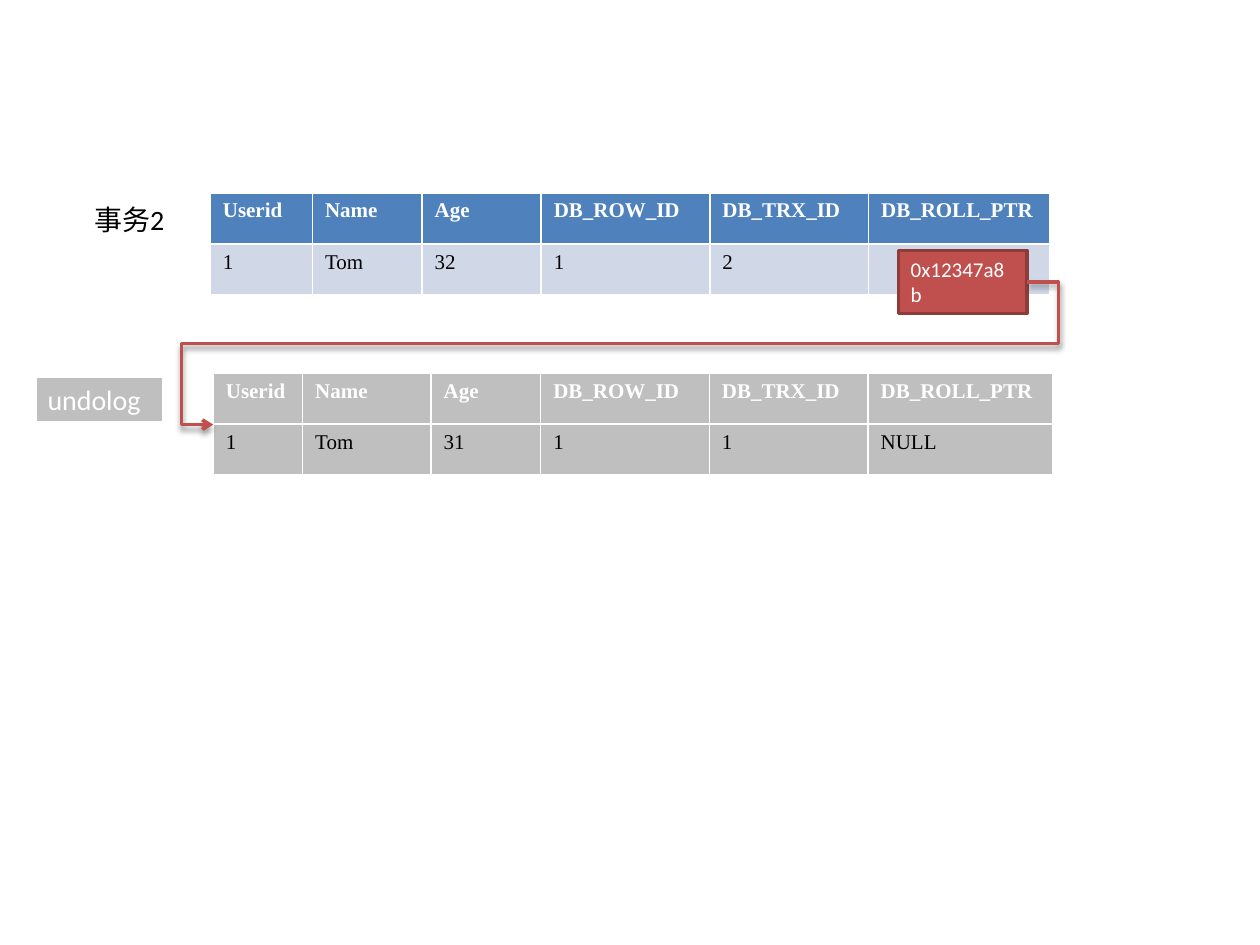
import pptx
import pptx.dml.color
import pptx.enum.dml
import pptx.enum.shapes
import pptx.enum.text
import pptx.oxml
import pptx.oxml.ns
import pptx.util

Cm = pptx.util.Cm
Pt = pptx.util.Pt
RGB = pptx.dml.color.RGBColor.from_string


class Theme:
    white, black = RGB("FFFFFF"), RGB("000000")
    blue, pale, gray = RGB("4F81BD"), RGB("D0D8E8"), RGB("BFBFBF")
    red, dark_red = RGB("C0504D"), RGB("8E3B39")
    body, table = "Calibri", "Times New Roman"
    small, label = Pt(12), Pt(16)
    line = Pt(2)


def set_text(tf, text, font, size, color, bold=False):
    p = tf.paragraphs[0]
    p.text = text
    p.font.name, p.font.size = font, size
    p.font.color.rgb, p.font.bold = color, bold
    return p


def add_label(text, left, top, width, height, size, color, fill=None, line=None):
    if fill is None:
        sp = s.shapes.add_textbox(left, top, width, height)
    else:
        sp = s.shapes.add_shape(pptx.enum.shapes.MSO_SHAPE.RECTANGLE, left, top, width, height)
        sp.shadow.inherit = False
        sp.fill.solid()
        sp.fill.fore_color.rgb = fill
        sp.line.color.rgb, sp.line.width = line, Theme.line
    tf = sp.text_frame
    tf.word_wrap = True
    tf.auto_size = pptx.enum.text.MSO_AUTO_SIZE.SHAPE_TO_FIT_TEXT
    tf.vertical_anchor = pptx.enum.text.MSO_ANCHOR.TOP
    p = set_text(tf, text, Theme.body, size, color)
    p.alignment = pptx.enum.text.PP_ALIGN.LEFT
    return sp


prs = pptx.Presentation()
prs.slide_width, prs.slide_height = Cm(25.4), Cm(19.05)
s = prs.slides.add_slide(prs.slide_layouts[6])

# Current row and its older version in the undo log
header = ["Userid", "Name", "Age", "DB_ROW_ID", "DB_TRX_ID", "DB_ROLL_PTR"]
row_height = 1.03
tables = [
    (4.24, 3.89, [2.06, 2.21, 2.4, 3.4, 3.2, 3.66],
     ["1", "Tom", "32", "1", "2", ""], Theme.blue, Theme.pale),
    (4.3, 7.52, [1.8, 2.59, 2.21, 3.4, 3.2, 3.73],
     ["1", "Tom", "31", "1", "1", "NULL"], Theme.gray, Theme.gray),
]
for left, top, widths, values, head_fill, body_fill in tables:
    table = s.shapes.add_table(2, len(header), Cm(left), Cm(top),
                               Cm(sum(widths)), Cm(2 * row_height)).table
    for column, width in zip(table.columns, widths):
        column.width = Cm(width)
    rows = [(header, head_fill, Theme.white, True), (values, body_fill, Theme.black, False)]
    for i, (texts, fill, color, bold) in enumerate(rows):
        table.rows[i].height = Cm(row_height)
        for j, text in enumerate(texts):
            cell = table.cell(i, j)
            cell.fill.solid()
            cell.fill.fore_color.rgb = fill
            set_text(cell.text_frame, text, Theme.table, Theme.small, color, bold)

# Roll pointer value
pointer = add_label("0x12347a8b", Cm(18.11), Cm(5.05), Cm(2.59), Cm(1.27),
                    Theme.small, Theme.white, Theme.red, Theme.dark_red)

# Bent arrow from the pointer to the undo log row
link = s.shapes.add_connector(pptx.enum.shapes.MSO_CONNECTOR.ELBOW,
                              Cm(20.7), Cm(5.69), Cm(4.3), Cm(8.56))
link.begin_connect(pointer, 3)
link.line.color.rgb, link.line.width = Theme.red, Theme.line
ns = pptx.oxml.ns.nsdecls("a")
geom = link._element.spPr.prstGeom
geom.set("prst", "bentConnector5")
guides = "".join(f'<a:gd name="adj{n}" fmla="val {value}"/>'
                 for n, value in enumerate([-3900, 43200, 103900], 1))
geom.replace(geom.find(pptx.oxml.ns.qn("a:avLst")),
             pptx.oxml.parse_xml(f"<a:avLst {ns}>{guides}</a:avLst>"))
link.line._get_or_add_ln().append(pptx.oxml.parse_xml(f'<a:tailEnd {ns} type="arrow"/>'))
link._element.spPr.append(pptx.oxml.parse_xml(
    f'<a:effectLst {ns}><a:outerShdw blurRad="40000" dist="20000" dir="5400000" rotWithShape="0">'
    '<a:srgbClr val="000000"><a:alpha val="38000"/></a:srgbClr></a:outerShdw></a:effectLst>'))

# Row labels
add_label("undolog", Cm(0.71), Cm(7.59), Cm(2.59), Cm(0.94),
          Theme.label, Theme.white, Theme.gray, Theme.white)
add_label("事务2", Cm(1.65), Cm(3.96), Cm(2.21), Cm(0.94), Theme.label, Theme.black)

prs.save("out.pptx")
